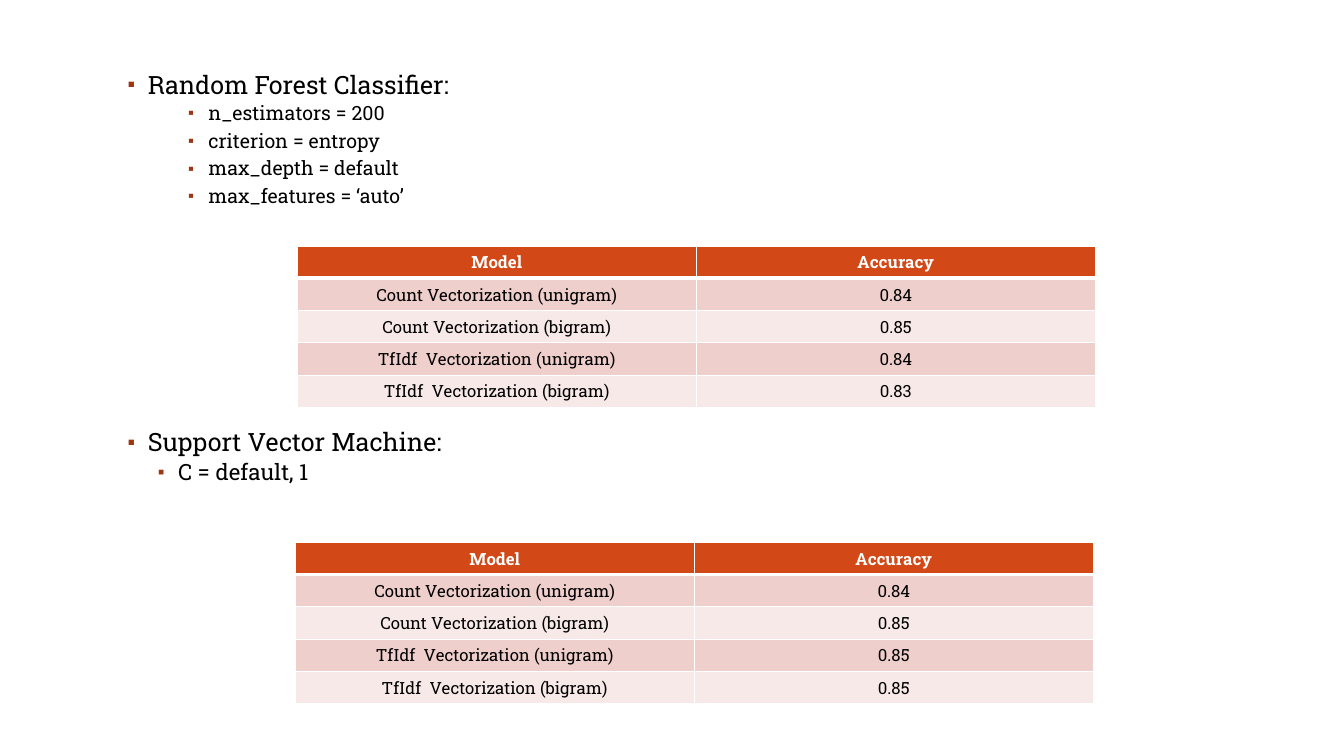
from dataclasses import dataclass

from lxml import etree
from pptx import Presentation
from pptx.dml.color import RGBColor
from pptx.enum.text import MSO_ANCHOR, MSO_AUTO_SIZE, PP_ALIGN
from pptx.oxml.ns import qn
from pptx.util import Emu, Inches, Pt

TOP = MSO_ANCHOR.TOP
MIDDLE = MSO_ANCHOR.MIDDLE
CENTER = PP_ALIGN.CENTER
NO_FIT = MSO_AUTO_SIZE.NONE

COLORS = {
    "text": "000000",
    "white": "FFFFFF",
    "bullet": "9E3611",
    "header": "D34817",
    "odd": "EFCFCC",
    "even": "F7E9E8",
}
FONT = "Roboto Slab"
SLIDE_WIDTH, SLIDE_HEIGHT = Inches(13.33), Inches(7.5)
GRID_COLUMNS, GRID_ROWS = 80, 45
TABLE_COLUMNS, TABLE_ROW = 47.5, 1.92
HANGING = Inches(0.2)
HEADINGS = ("Model", "Accuracy")
MODELS = (
    "Count Vectorization (unigram)",
    "Count Vectorization (bigram)",
    "TfIdf  Vectorization (unigram)",
    "TfIdf  Vectorization (bigram)",
)


@dataclass(frozen=True)
class Bullet:
    text: str
    level: int
    size: int
    indent: float
    before: float = 3
    after: float = 1.6


@dataclass(frozen=True)
class ScoreTable:
    column: float
    row: float
    scores: tuple[str, ...]


BULLETS = (
    Bullet("Random Forest Classifier:", 0, 18, 0.2, before=0, after=0),
    Bullet("n_estimators = 200", 2, 14, 0.8),
    Bullet("criterion = entropy", 2, 14, 0.8),
    Bullet("max_depth = default", 2, 14, 0.8),
    Bullet("max_features = ‘auto’", 2, 14, 0.8),
    Bullet("Support Vector Machine:", 0, 18, 0.2, before=157, after=0),
    Bullet("C = default, 1", 1, 16, 0.5),
)
TABLES = (
    ScoreTable(17.7, 14.64, ("0.84", "0.85", "0.84", "0.83")),
    ScoreTable(17.58, 32.28, ("0.84", "0.85", "0.85", "0.85")),
)


def across(columns: float) -> Emu:
    return Emu(round(SLIDE_WIDTH * columns / GRID_COLUMNS))


def down(rows: float) -> Emu:
    return Emu(round(SLIDE_HEIGHT * rows / GRID_ROWS))


def add_span(para, text: str, size: int, color: str, bold: bool = False) -> None:
    span = para.add_run()
    span.text = text
    span.font.name = FONT
    span.font.size = Pt(size)
    span.font.bold = bold
    span.font.color.rgb = RGBColor.from_string(COLORS[color])


def format_bullet(para, bullet: Bullet) -> None:
    para.level = bullet.level
    para.line_spacing = 0.9
    para.space_before = Pt(bullet.before)
    para.space_after = Pt(bullet.after)
    properties = para._p.get_or_add_pPr()
    properties.set("marL", str(Inches(bullet.indent)))
    properties.set("indent", str(-HANGING))
    color = etree.SubElement(properties, qn("a:buClr"))
    etree.SubElement(color, qn("a:srgbClr"), val=COLORS["bullet"])
    etree.SubElement(properties, qn("a:buSzPct"), val="85000")
    etree.SubElement(properties, qn("a:buFont"), typeface="Wingdings 2")
    properties[-1].set("typeface", "Arial")
    etree.SubElement(properties, qn("a:buChar"), char="▪")


def fill_body(body) -> None:
    body.left, body.top = across(7), down(4)
    body.width, body.height = across(66), down(36.5)
    frame = body.text_frame
    frame.word_wrap = True
    frame.auto_size = NO_FIT
    frame.vertical_anchor = TOP
    for index, bullet in enumerate(BULLETS):
        para = frame.add_paragraph() if index else frame.paragraphs[0]
        format_bullet(para, bullet)
        add_span(para, bullet.text, bullet.size, "text")


def set_borders(cell, row: int) -> None:
    properties = cell._tc.get_or_add_tcPr()
    widths = {
        "lnL": 1,
        "lnR": 1,
        "lnT": 3 if row == 1 else 1,
        "lnB": 3 if row == 0 else 1,
    }
    for side, width in widths.items():
        line = etree.SubElement(properties, qn(f"a:{side}"), w=str(Pt(width)))
        fill = etree.SubElement(line, qn("a:solidFill"))
        etree.SubElement(fill, qn("a:srgbClr"), val=COLORS["white"])


def add_score_table(page, spec: ScoreTable) -> None:
    records = (HEADINGS, *zip(MODELS, spec.scores))
    table = page.shapes.add_table(
        len(records), len(HEADINGS), across(spec.column), down(spec.row),
        across(TABLE_COLUMNS), down(TABLE_ROW * len(records)),
    ).table
    for row, record in enumerate(records):
        is_header = row == 0
        band = "header" if is_header else "odd" if row % 2 else "even"
        for column, text in enumerate(record):
            cell = table.cell(row, column)
            set_borders(cell, row)
            cell.fill.solid()
            cell.fill.fore_color.rgb = RGBColor.from_string(COLORS[band])
            cell.vertical_anchor = MIDDLE
            para = cell.text_frame.paragraphs[0]
            para.alignment = CENTER
            add_span(para, text, 12, "white" if is_header else "text", is_header)


def main() -> None:
    deck = Presentation()
    deck.slide_width, deck.slide_height = SLIDE_WIDTH, SLIDE_HEIGHT
    page = deck.slides.add_slide(deck.slide_layouts[1])
    title = page.shapes.title
    title.element.getparent().remove(title.element)
    fill_body(page.placeholders[1])
    for spec in TABLES:
        add_score_table(page, spec)
    deck.save("out.pptx")


if __name__ == "__main__":
    main()
